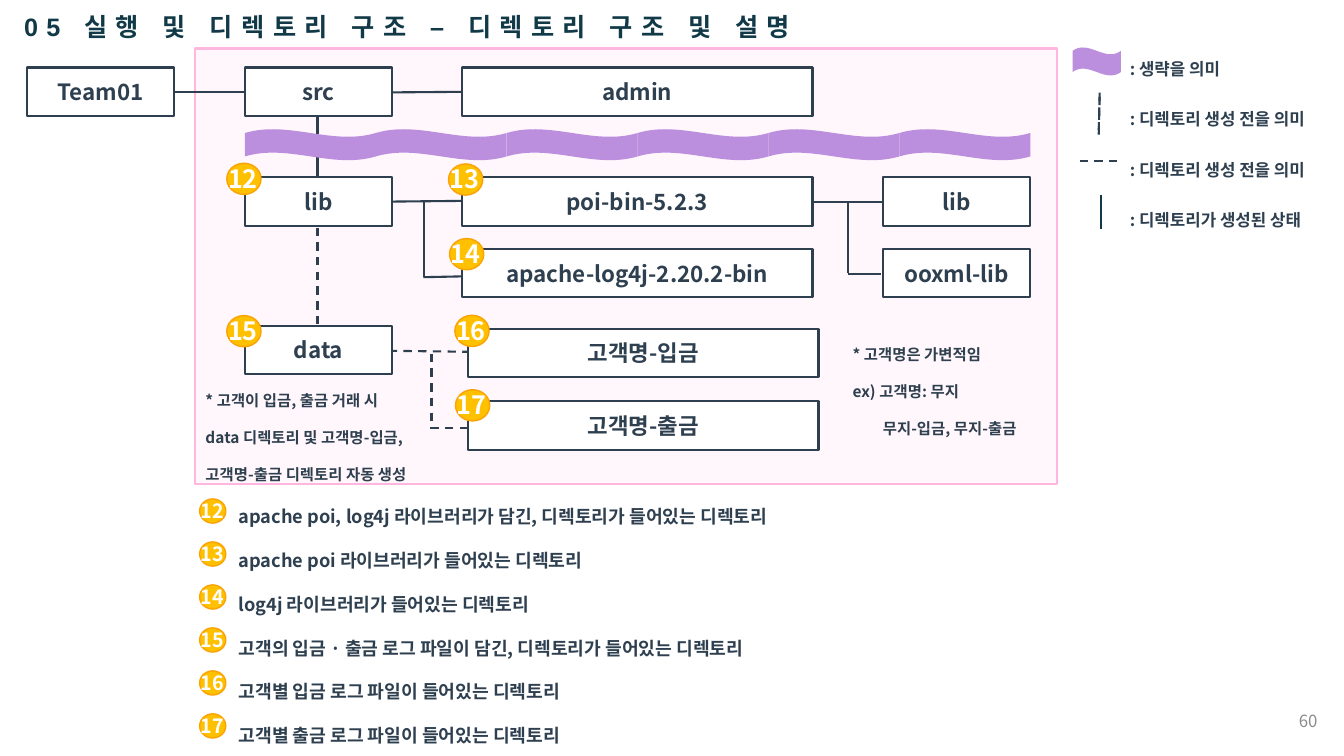
from dataclasses import dataclass

import pptx
import pptx.dml.color
import pptx.enum.dml
import pptx.enum.shapes
import pptx.enum.text
import pptx.oxml
import pptx.oxml.ns
import pptx.util

Pt = pptx.util.Pt
SHAPE = pptx.enum.shapes.MSO_SHAPE
ALIGN = pptx.enum.text.PP_ALIGN
ANCHOR = pptx.enum.text.MSO_ANCHOR

COLORS = {
    "ink": "2E3F4F", "title": "113947", "white": "FFFFFF", "page": "8C8C8C",
    "panel": "FFF7FB", "panel_edge": "FFB7E0", "wave": "BC8EDE",
    "badge": "FFC000", "badge_edge": "FBA305",
}
KOREAN = "Noto Sans CJK KR"


@dataclass
class Area:
    x: float
    y: float
    w: float
    h: float


@dataclass
class Folder:
    name: str
    x: float
    y: float
    w: float = 105.1


@dataclass
class Link:
    x1: float
    y1: float
    x2: float
    y2: float
    dashed: bool = False
    color: str = "ink"


@dataclass
class Badge:
    number: int
    x: float
    y: float


@dataclass
class Note:
    area: Area
    size: float
    lines: list[str]
    spacings: list[float]


def rgb(name: str) -> pptx.dml.color.RGBColor:
    return pptx.dml.color.RGBColor.from_string(COLORS[name])


def draw_shape(kind, area: Area, fill: str, edge: str = "", width: float = 1.5):
    shape = slide.shapes.add_shape(kind, Pt(area.x), Pt(area.y), Pt(area.w), Pt(area.h))
    shape.shadow.inherit = False
    shape.fill.solid()
    shape.fill.fore_color.rgb = rgb(fill)
    if edge:
        shape.line.color.rgb = rgb(edge)
        shape.line.width = Pt(width)
    else:
        shape.line.fill.background()
    return shape


def style(paragraph, size: float, color: str = "ink", bold: bool = True,
          face: str = KOREAN) -> None:
    font = paragraph.font
    font.size, font.bold, font.name = Pt(size), bold, face
    font.color.rgb = rgb(color)
    defaults = paragraph._p.pPr.find(pptx.oxml.ns.qn("a:defRPr"))
    east_asian = pptx.oxml.parse_xml(f'<a:ea {pptx.oxml.ns.nsdecls("a")} typeface="{face}"/>')
    defaults.append(east_asian)


def draw_text(area: Area, lines: list[str], size: float, color: str = "ink",
              bold: bool = True, face: str = KOREAN):
    box = slide.shapes.add_textbox(Pt(area.x), Pt(area.y), Pt(area.w), Pt(area.h))
    frame = box.text_frame
    frame.word_wrap = True
    frame.text = "\n".join(lines)
    for paragraph in frame.paragraphs:
        style(paragraph, size, color, bold, face)
    return frame


def draw_link(link: Link) -> None:
    line = slide.shapes.add_connector(
        pptx.enum.shapes.MSO_CONNECTOR.STRAIGHT,
        Pt(link.x1), Pt(link.y1), Pt(link.x2), Pt(link.y2))
    line.line.color.rgb = rgb(link.color)
    line.line.width = Pt(1.5)
    if link.dashed:
        line.line.dash_style = pptx.enum.dml.MSO_LINE.DASH
    line._element.spPr.append(
        pptx.oxml.parse_xml(f'<a:effectLst {pptx.oxml.ns.nsdecls("a")}/>'))


def draw_folder(folder: Folder) -> None:
    area = Area(folder.x, folder.y, folder.w, 34.6)
    frame = draw_shape(SHAPE.RECTANGLE, area, "white", "ink").text_frame
    frame.vertical_anchor = ANCHOR.MIDDLE
    frame.text = folder.name
    frame.paragraphs[0].alignment = ALIGN.CENTER
    style(frame.paragraphs[0], 16)


def draw_badge(badge: Badge, w: float, h: float, size: float, text_height: float) -> None:
    draw_shape(SHAPE.OVAL, Area(badge.x, badge.y, w, h), "badge", "badge_edge", 1)
    draw_text(Area(badge.x - 6.2, badge.y - 3.8, 101.5, text_height),
              [str(badge.number)], size, "white")


def draw_note(note: Note):
    frame = draw_text(note.area, note.lines, note.size)
    for paragraph, spacing in zip(frame.paragraphs, note.spacings):
        paragraph.line_spacing = spacing
    return frame


presentation = pptx.Presentation()
presentation.slide_width, presentation.slide_height = Pt(960), Pt(540)
slide = presentation.slides.add_slide(presentation.slide_layouts[6])

# Title and page number
title = draw_text(Area(10.1, 4.3, 694, 28.8),
                  ["05 실행 및 디렉토리 구조 – 디렉토리 구조 및 설명"], 18, "title", face="Arial")
title.paragraphs[0].runs[0]._r.get_or_add_rPr().set("spc", "600")
page = draw_text(Area(732.2, 500.4, 216, 28.8), ["60"], 12, "page", bold=False)
page.vertical_anchor = ANCHOR.MIDDLE
page.paragraphs[0].alignment = ALIGN.RIGHT

# Panel and the links of the directory tree
draw_shape(SHAPE.RECTANGLE, Area(139, 34.6, 616.3, 311), "panel", "panel_edge")
tree_links = [
    Link(123.8, 65.6, 175, 65.6),
    Link(279.4, 66, 329.8, 65.6),
    Link(226.8, 131, 226.8, 247.7, dashed=True),
    Link(226.8, 82.8, 226.8, 136.8),
    Link(279.4, 144, 329.8, 143.5),
    Link(303.1, 144.5, 303.1, 198),
    Link(302.4, 198, 331.2, 197.4),
    Link(580.3, 144, 630.7, 144),
    Link(605.5, 144, 605.5, 195),
    Link(605.5, 195.8, 629.3, 195.8),
    Link(336.2, 251.3, 279.4, 250.6, dashed=True),
    Link(308.2, 252.7, 308.2, 306, dashed=True),
    Link(307.4, 306, 335.5, 306, dashed=True),
]
for tree_link in tree_links:
    draw_link(tree_link)

# Directories
WIDE = 250.6
folders = [
    Folder("Team01", 19.4, 48.2),
    Folder("src", 175, 48.2),
    Folder("admin", 329.8, 48.2, WIDE),
    Folder("lib", 175, 126.7),
    Folder("poi-bin-5.2.3", 329.8, 126.7, WIDE),
    Folder("lib", 630.7, 126.7),
    Folder("apache-log4j-2.20.2-bin", 329.8, 177.8, WIDE),
    Folder("ooxml-lib", 630.7, 177.8),
    Folder("data", 175, 232.6),
    Folder("고객명-입금", 334.1, 234.7, WIDE),
    Folder("고객명-출금", 334.1, 286.6, WIDE),
]
for directory in folders:
    draw_folder(directory)

# Band of omitted directories
for step in range(6):
    draw_shape(SHAPE.WAVE, Area(175 + 93.5 * step, 92.2, 93.5, 22.3), "wave")

# Numbers on the directories
tree_badges = [
    Badge(12, 162, 116.6), Badge(13, 320.4, 117.1), Badge(14, 321.1, 170.4),
    Badge(15, 162, 225.4), Badge(16, 324.9, 225.2), Badge(17, 325.4, 278.4),
]
for tree_badge in tree_badges:
    draw_badge(tree_badge, 24.5, 22.3, 18, 28.8)

# Numbered descriptions
descriptions = [
    "apache poi, log4j 라이브러리가 담긴, 디렉토리가 들어있는 디렉토리",
    "apache poi 라이브러리가 들어있는 디렉토리",
    "log4j 라이브러리가 들어있는 디렉토리",
    "고객의 입금 · 출금 로그 파일이 담긴, 디렉토리가 들어있는 디렉토리",
    "고객별 입금 로그 파일이 들어있는 디렉토리",
    "고객별 출금 로그 파일이 들어있는 디렉토리",
]
draw_note(Note(Area(163.4, 342, 600.5, 191.5), 13, descriptions, [2.0] * 6))
for row in range(len(descriptions)):
    draw_badge(Badge(12 + row, 142.6, 356.4 + 30.7 * row), 18.7, 17.3, 14, 24.5)

# Notes inside the panel
draw_note(Note(Area(139.7, 262.8, 174.2, 82.8), 11,
               ["* 고객이 입금, 출금 거래 시", "data 디렉토리 및 고객명-입금,",
                "고객명-출금 디렉토리 자동 생성"], [2.0] * 3))
example = draw_note(Note(Area(601.9, 229.7, 172.1, 82.8), 11,
                         ["* 고객명은 가변적임", "ex) 고객명: 무지",
                          "무지-입금, 무지-출금"], [2.0] * 3))
example.paragraphs[2]._p.pPr.set("marL", str(Pt(21.6)))

# Legend
draw_note(Note(Area(799.9, 23.8, 159.8, 139), 12,
               [": 생략을 의미", ": 디렉토리 생성 전을 의미",
                ": 디렉토리 생성 전을 의미", ": 디렉토리가 생성된 상태"],
               [2.0, 2.5, 2.5, 2.5]))
draw_shape(SHAPE.WAVE, Area(766.1, 33.8, 34.6, 20.2), "wave")
legend_links = [
    Link(785.5, 69.1, 784.8, 97.2, dashed=True),
    Link(785.5, 66.2, 784.8, 94.3, dashed=True),
    Link(771.1, 115.2, 799.2, 115.2, dashed=True),
    Link(786.2, 139, 786.2, 163.4, color="title"),
]
for legend_link in legend_links:
    draw_link(legend_link)

presentation.save("out.pptx")
